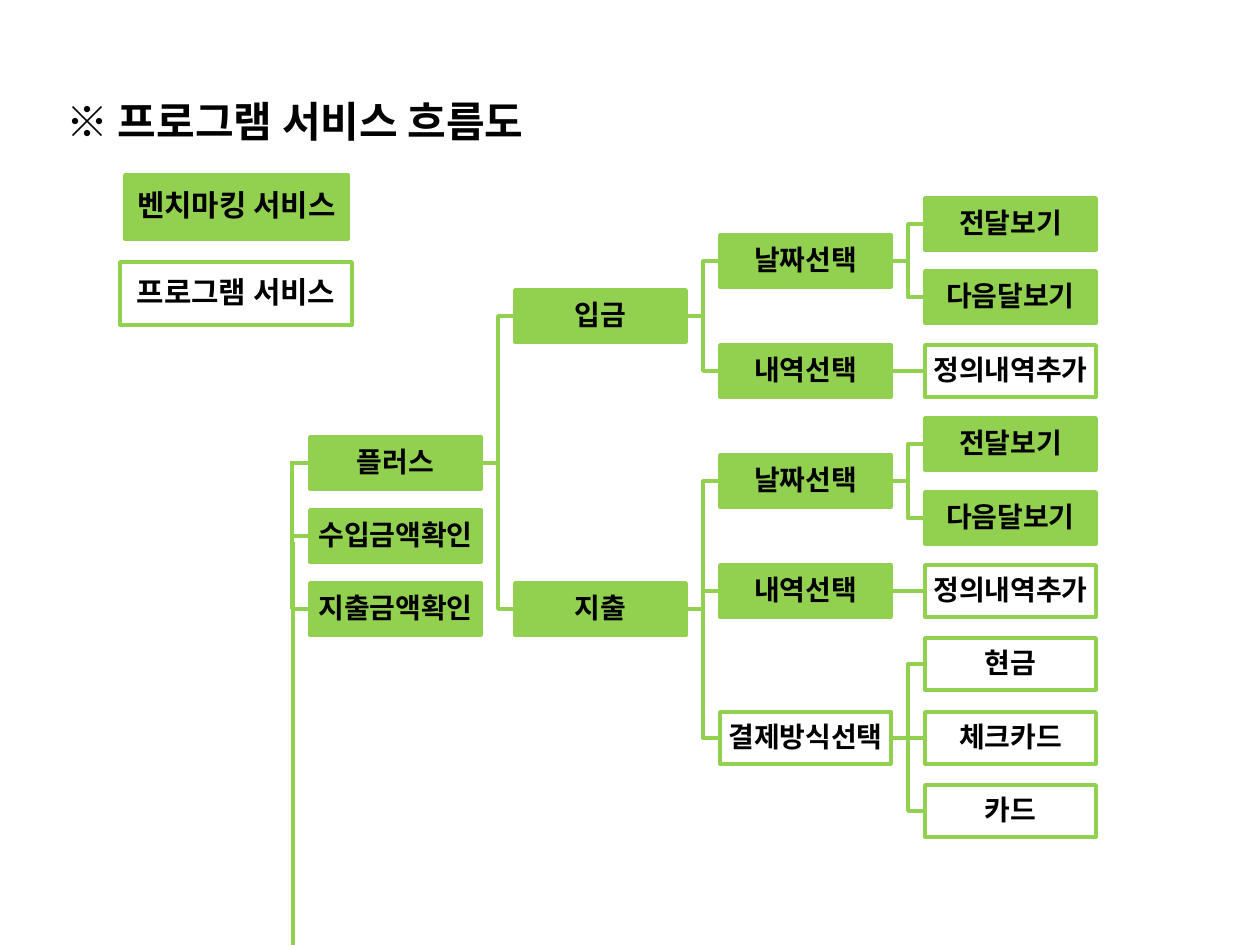
"""Draw the program service flow chart as a tree of boxes."""
from lxml import etree
from pptx import Presentation
from pptx import util as u
from pptx.dml.color import RGBColor
from pptx.enum import shapes, text
from pptx.oxml.ns import qn

GREEN = RGBColor(0x92, 0xD0, 0x50)
WHITE = RGBColor(0xFF, 0xFF, 0xFF)
BLACK = RGBColor(0x00, 0x00, 0x00)
KR = "Noto Sans CJK KR"
SC = "Noto Sans CJK SC"
SCALE = 914400 / 126
LEFT, TOP, WIDE, HIGH = 310, 198, 171, 52
STEP, ROW = 205, 73.4
TRUNK = 292


def px(num):
    return u.Emu(round(num * SCALE))


class Chart:
    """Hold the style and the current slide."""

    def __init__(self, deck):
        self.slide = deck.slides.add_slide(deck.slide_layouts[6])
        self.shapes = self.slide.shapes

    def run(self, para, words, size, face):
        run = para.add_run()
        run.text = words
        font = run.font
        font.size, font.bold, font.name = u.Pt(size), True, face
        font.color.rgb = BLACK
        east = etree.SubElement(run._r.get_or_add_rPr(), qn("a:ea"))
        east.set("typeface", face)

    def title(self, words, x, y, w, h):
        frame = self.shapes.add_textbox(px(x), px(y), px(w), px(h)).text_frame
        frame.word_wrap = False
        frame.auto_size = text.MSO_AUTO_SIZE.SHAPE_TO_FIT_TEXT
        self.run(frame.paragraphs[0], words, 24, KR)

    def box(self, words, x, y, w, h, fill, size=16, face=SC):
        box = self.shapes.add_shape(
            shapes.MSO_SHAPE.RECTANGLE, px(x), px(y), px(w), px(h))
        box.shadow.inherit = False
        box.fill.solid()
        box.fill.fore_color.rgb = fill
        box.line.color.rgb = GREEN
        box.line.width = u.Pt(2)
        frame = box.text_frame
        frame.word_wrap = True
        frame.vertical_anchor = text.MSO_ANCHOR.MIDDLE
        frame.margin_left = frame.margin_right = px(1)
        frame.margin_top = frame.margin_bottom = px(1)
        para = frame.paragraphs[0]
        para.alignment = text.PP_ALIGN.CENTER
        para.line_spacing = 0.9
        after = etree.SubElement(para._p.get_or_add_pPr(), qn("a:spcAft"))
        etree.SubElement(after, qn("a:spcPct")).set("val", "35000")
        self.run(para, words, size, face)
        return box

    def line(self, x, y, x2, y2, width=2, bent=False):
        kind = shapes.MSO_CONNECTOR.ELBOW if bent else shapes.MSO_CONNECTOR.STRAIGHT
        line = self.shapes.add_connector(kind, px(x), px(y), px(x2), px(y2))
        line.line.color.rgb = GREEN
        line.line.width = u.Pt(width)
        etree.SubElement(line._element.spPr, qn("a:effectLst"))
        return line

    def link(self, start, end):
        line = self.line(0, 0, 0, 0, bent=start.top != end.top)
        line.begin_connect(start, 3)
        line.end_connect(end, 1)

    def stub(self, box, y):
        self.line(TRUNK, y, LEFT, y).end_connect(box, 1)

    def tree(self, node, col=0):
        words, row, fill, kids = node
        top = round(TOP + ROW * row)
        box = self.box(words, LEFT + STEP * col, top, WIDE, HIGH, fill)
        for kid in kids:
            self.link(box, self.tree(kid, col + 1))
        if col == 0:
            self.stub(box, top + HIGH // 2)
        return box


def dates(row):
    return ("날짜선택", row + 0.5, GREEN, [
        ("전달보기", row, GREEN, []),
        ("다음달보기", row + 1, GREEN, [])])


def items(row):
    return ("내역선택", row, GREEN, [("정의내역추가", row, WHITE, [])])


PAY = ("결제방식선택", 7, WHITE, [
    ("현금", 6, WHITE, []),
    ("체크카드", 7, WHITE, []),
    ("카드", 8, WHITE, [])])
ROOTS = [
    ("플러스", 3.25, GREEN, [
        ("입금", 1.25, GREEN, [dates(0), items(2)]),
        ("지출", 5.25, GREEN, [dates(3), items(5), PAY])]),
    ("수입금액확인", 4.25, GREEN, []),
    ("지출금액확인", 5.25, GREEN, []),
]


def main():
    deck = Presentation()
    deck.slide_width, deck.slide_height = px(1260), px(945)
    chart = Chart(deck)
    chart.line(TRUNK, 461, TRUNK, 609)
    for root in ROOTS:
        chart.tree(root)
    chart.line(TRUNK + 1, 542, TRUNK + 1, 945, 2.25)
    chart.box("벤치마킹 서비스", 125, 175, 223, 64, GREEN, 17, KR)
    chart.box("프로그램 서비스", 120, 262, 232, 63, WHITE, 17, KR)
    chart.title("※ 프로그램 서비스 흐름도", 54, 89, 536, 63)
    deck.save("out.pptx")


if __name__ == "__main__":
    main()
